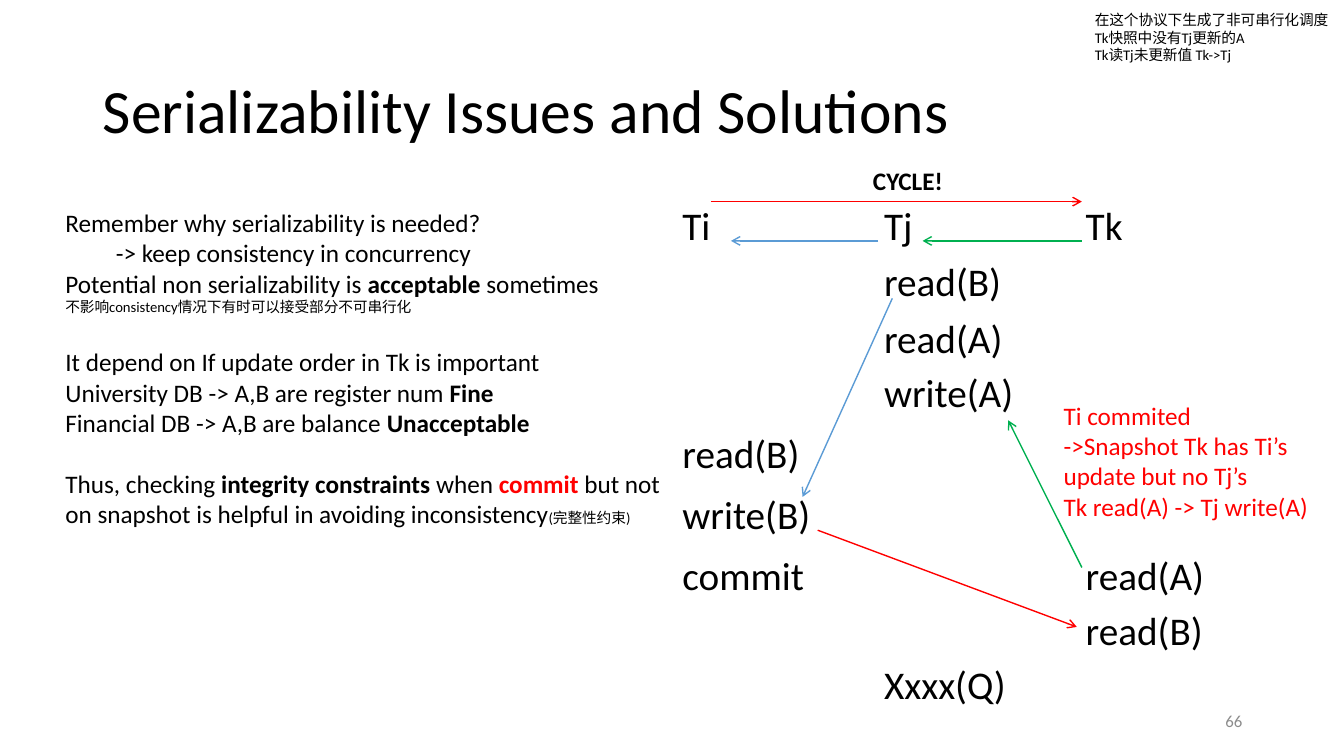
import pptx
import pptx.util
import pptx.dml.color
import pptx.enum.shapes
import pptx.enum.text
import lxml.etree
import pptx.oxml.ns

Inches, Pt = pptx.util.Inches, pptx.util.Pt
RGBColor = pptx.dml.color.RGBColor
PP_ALIGN = pptx.enum.text.PP_ALIGN
MSO_ANCHOR = pptx.enum.text.MSO_ANCHOR
qn = pptx.oxml.ns.qn

BLACK = RGBColor(0x00, 0x00, 0x00)
RED = RGBColor(0xFF, 0x00, 0x00)
GREEN = RGBColor(0x00, 0xB0, 0x50)
BLUE = RGBColor(0x5B, 0x9B, 0xD5)
GREY = RGBColor(0x8C, 0x8C, 0x8C)

FONT = "Calibri"
SMALL, BODY, LARGE = 10.5, 18, 28
COL_WIDTH = 2
TI, TJ, TK = (6.77 + COL_WIDTH * i for i in range(3))


def add_run(p, text, size, color=BLACK, bold=False):
    r = p.add_run()
    r.text = text
    r.font.name = FONT
    r.font.size = Pt(size)
    r.font.bold = bold
    r.font.color.rgb = color


def add_text(box, paragraphs):
    """Add a wrapping text box; each paragraph is a list of add_run arguments."""
    tf = s.shapes.add_textbox(*map(Inches, box)).text_frame
    tf.word_wrap = True
    for i, runs in enumerate(paragraphs):
        p = tf.paragraphs[0] if i == 0 else tf.add_paragraph()
        for run in runs:
            add_run(p, *run)
    return tf


prs = pptx.Presentation()
prs.slide_width, prs.slide_height = Inches(13.33), Inches(7.5)
s = prs.slides.add_slide(prs.slide_layouts[5])

# Title
title = s.shapes.title
title.left, title.top, title.width, title.height = map(Inches, (0.92, 0.4, 11.5, 1.45))
title.text_frame.vertical_anchor = MSO_ANCHOR.MIDDLE
p = title.text_frame.paragraphs[0]
p.alignment = PP_ALIGN.LEFT
p.line_spacing = 0.9
add_run(p, "Serializability Issues and Solutions", 44)

# Schedule: one tab per transaction column; text, line spacing, space before
schedule = [
    ("Ti\tTj\tTk", 0.9, 10),
    ("\tread(B)", 0.9, 10),
    ("\tread(A)", 0.9, 10),
    ("\twrite(A)", 1, 5),
    ("read(B)", 1, 10),
    ("write(B)", 1, 10),
    ("commit\t\tread(A)", 1, 10),
    ("\t\tread(B)", 1, 5),
    ("\tXxxx(Q)", 1, 5),
]
tf = add_text((TI - 0.1, 2, 5.75, 5.26), [[(text, LARGE)] for text, _, _ in schedule])
for p, (_, spacing, before) in zip(tf.paragraphs, schedule):
    p.line_spacing = spacing
    p.space_before = Pt(before)
    tabs = lxml.etree.SubElement(p._p.get_or_add_pPr(), qn("a:tabLst"))
    for col in (1, 2):
        lxml.etree.SubElement(tabs, qn("a:tab"), pos=str(Inches(COL_WIDTH * col)), algn="l")

# Notes around the schedule
add_text((10.45, 3.92, 2.88, 1.31), [
    [("Ti commited", BODY, RED)],
    [("->Snapshot Tk has Ti’s update but no Tj’s", BODY, RED)],
    [("Tk read(A) -> Tj write(A)", BODY, RED)],
])
add_text((8.56, 1.59, 1.37, 0.4), [[("CYCLE!", BODY, BLACK, True)]])
add_text((10.76, 0.06, 2.57, 0.63), [
    [("在这个协议下生成了非可串行化调度", SMALL)],
    [("Tk快照中没有Tj更新的A", SMALL)],
    [("Tk读Tj未更新值 Tk->Tj", SMALL)],
])

# Dependency arrows
TK_EDGE = TK - 0.04
HEADER_Y = 2.39
arrows = [
    (TJ - 0.06, HEADER_Y, 7.25, HEADER_Y, BLUE),
    (8.85, 2.96, 7.96, 4.93, BLUE),
    (8.11, 5.26, 10.68, 6.22, RED),
    (7.05, 2, TK_EDGE, 2, RED),
    (TK_EDGE, 5.63, 10, 4.17, GREEN),
    (TK_EDGE, HEADER_Y, 9.15, HEADER_Y, GREEN),
]
for *ends, color in arrows:
    arrow = s.shapes.add_connector(pptx.enum.shapes.MSO_CONNECTOR.STRAIGHT, *map(Inches, ends))
    arrow.line.color.rgb = color
    arrow.line.width = Pt(1)
    lxml.etree.SubElement(arrow.line._get_or_add_ln(), qn("a:tailEnd"), type="arrow")
    lxml.etree.SubElement(arrow._element.spPr, qn("a:effectLst"))

# Discussion
tf = add_text((0.55, 2.01, 6.12, 3.31), [
    [("Remember why serializability is needed?", BODY)],
    [("-> keep consistency in concurrency", BODY)],
    [("Potential non serializability is ", BODY), ("acceptable", BODY, BLACK, True),
     (" sometimes", BODY)],
    [("不影响consistency情况下有时可以接受部分不可串行化", SMALL)],
    [("It depend on If update order in Tk is important", BODY)],
    [("University DB -> A,B are register num", BODY), (" Fine", BODY, BLACK, True)],
    [("Financial DB -> A,B are balance ", BODY), ("Unacceptable", BODY, BLACK, True)],
    [("Thus, checking ", BODY), ("integrity constraints", BODY, BLACK, True),
     (" when ", BODY), ("commit", BODY, RED, True),
     (" but not on snapshot is helpful in avoiding inconsistency", BODY),
     ("(完整性约束)", SMALL)],
])
tf.paragraphs[1]._p.get_or_add_pPr().set("indent", str(Inches(0.5)))
for i in (4, 7):
    tf.paragraphs[i].space_before = Pt(22)

# Slide number
tf = add_text((9.42, 6.95, 3, 0.4), [[("66", 12, GREY)]])
tf.vertical_anchor = MSO_ANCHOR.MIDDLE
tf.paragraphs[0].alignment = PP_ALIGN.RIGHT

prs.save("out.pptx")
